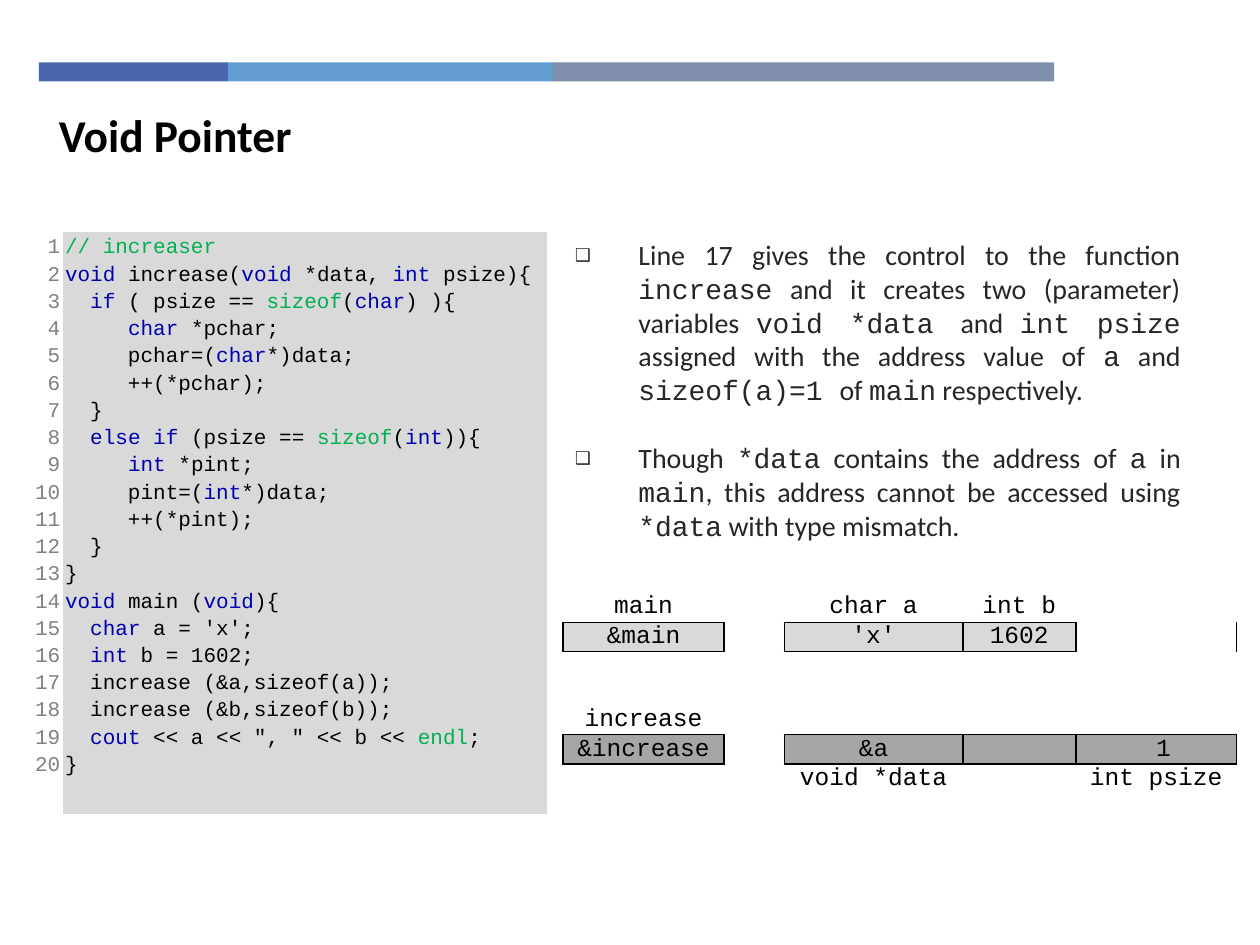
from copy import deepcopy

from pptx import Presentation
from pptx.dml.color import RGBColor
from pptx.enum import shapes, text
from pptx.oxml import parse_xml
from pptx.oxml.ns import nsdecls, qn
from pptx.util import Pt

BLACK = RGBColor(0, 0, 0)
INK = RGBColor(0x26, 0x26, 0x26)
NUMBER_GRAY = RGBColor(0x80, 0x80, 0x80)
KEYWORD_BLUE = RGBColor(0, 0, 0xB0)
BUILTIN_GREEN = RGBColor(0, 0xB0, 0x50)
LIGHT_GRAY = RGBColor(0xD9, 0xD9, 0xD9)
MID_GRAY = RGBColor(0xA6, 0xA6, 0xA6)
BAND_COLORS = (RGBColor(0x4A, 0x66, 0xAC), RGBColor(0x62, 0x9D, 0xD1), RGBColor(0x7F, 0x8F, 0xA9))

BODY_FONT, CODE_FONT = "Calibri", "Courier New"
NO_STYLE = "{2D5ABB26-0587-4C30-8999-92F81FD0307C}"
GREEN_WORDS = {"// increaser", "sizeof", "endl"}

CODE = """`// increaser`
`void` increase(`void` *data, `int `psize){
  `if` ( psize == `sizeof`(`char`) ){
     `char` *pchar;
     pchar=(`char`*)data;
     ++(*pchar);
  }
  `else if `(psize == `sizeof`(`int`)){
     `int` *pint;
     pint=(`int`*)data;
     ++(*pint);
  }
}
`void` main (`void`){
  `char` a = 'x';
  `int` b = 1602;
  increase (&a,sizeof(a));
  increase (&b,sizeof(b));
  `cout` << a << ", " << b << `endl`;
}""".split("\n")

POINTS = (
    "Line 17 gives the control to the function `increase` and it creates two (parameter) variables "
    "`void *data `and `int psize `assigned with the address value of `a` and "
    "`sizeof(a)=1 `of `main` respectively.",
    "Though `*data` contains the address of `a` in `main`, this address cannot be accessed using "
    "`*data` with type mismatch.",
)

MEMORY_WIDTHS = (92, 21, 13.5, 13, 40.5, 35, 13.5, 13.2, 18.9, 32.5, 92)
MEMORY_HEIGHTS = (17.2, 16, 19.4, 11.2, 16, 16, 16)
MEMORY = {
    (0, 0): "main", (0, 3): "char a", (0, 7): "int b",
    (1, 0): "&main", (1, 3): "'x'", (1, 7): "1602",
    (4, 0): "increase",
    (5, 0): "&increase", (5, 3): "&a", (5, 10): " 1",
    (6, 3): "void *data", (6, 10): "int psize",
}
BLOCK_SPANS = ((1, 2), (3, 6), (7, 9))
MEMORY_SPANS = {row: BLOCK_SPANS for row in (0, 1, 3, 5, 6)}
MEMORY_SPANS.update({2: ((4, 5), (8, 9)), 4: ((1, 2), (3, 4), (5, 6), (7, 8))})
MEMORY_FILLS = {1: (LIGHT_GRAY, (0, 3, 7)), 5: (MID_GRAY, (0, 3, 7, 10))}


def add_run(paragraph, content, font, size, color, bold=False):
    """Append one formatted run to a paragraph."""
    run = paragraph.add_run()
    run.text = content
    run.font.name, run.font.size, run.font.bold = font, Pt(size), bold
    run.font.color.rgb = color


def marked_parts(line):
    """Yield each part of a line and whether backticks enclose it."""
    for index, part in enumerate(line.split("`")):
        if part:
            yield part, index % 2 == 1


def paragraphs(frame, lines):
    """Yield a paragraph of the frame with each line."""
    for index, line in enumerate(lines):
        yield (frame.add_paragraph() if index else frame.paragraphs[0]), line


def add_plain_table(slide, left, top, widths, heights):
    """Add a table without style and with the given column and row sizes."""
    frame = slide.shapes.add_table(len(heights), len(widths), Pt(left), Pt(top),
                                   Pt(sum(widths)), Pt(sum(heights)))
    table = frame.table
    table.first_row = table.horz_banding = False
    table._tbl.tblPr[0].text = NO_STYLE
    for column, width in zip(table.columns, widths):
        column.width = Pt(width)
    for row, height in zip(table.rows, heights):
        row.height = Pt(height)
    return table


def set_margins(cell, left, top, right, bottom):
    """Set the four insets of a cell."""
    cell.margin_left, cell.margin_top = Pt(left), Pt(top)
    cell.margin_right, cell.margin_bottom = Pt(right), Pt(bottom)


def outline_cell(cell, sides=("lnL", "lnR", "lnT", "lnB")):
    """Draw a thin black border on the given sides of a cell."""
    properties = cell._tc.get_or_add_tcPr()
    for index, side in enumerate(sides):
        properties.insert(index, parse_xml(
            f'<a:{side} {nsdecls("a")} w="12700"><a:solidFill><a:srgbClr val="{BLACK}"/>'
            f'</a:solidFill></a:{side}>'))


def add_band(slide, left, top, height, widths):
    """Place the coloured header segments side by side."""
    for width, color in zip(widths, BAND_COLORS):
        segment = slide.shapes.add_shape(shapes.MSO_SHAPE.RECTANGLE, Pt(left), Pt(top),
                                         Pt(width), Pt(height))
        segment.shadow.inherit = False
        segment.fill.solid()
        segment.fill.fore_color.rgb = color
        segment.line.fill.background()
        left += width


def add_title(slide, left, top, width, height):
    """Place the slide heading."""
    heading = slide.shapes.add_textbox(Pt(left), Pt(top), Pt(width), Pt(height)).text_frame
    heading.word_wrap = True
    add_run(heading.paragraphs[0], "Void Pointer", BODY_FONT, 26, BLACK, True)


def add_points(slide, left, top, width, height):
    """Place the justified explanation with box bullets."""
    explanation = slide.shapes.add_textbox(Pt(left), Pt(top), Pt(width), Pt(height)).text_frame
    explanation.word_wrap = True
    for paragraph, point in paragraphs(explanation, POINTS):
        paragraph.alignment = text.PP_ALIGN.JUSTIFY
        paragraph.space_before = Pt(20)
        properties = paragraph._p.get_or_add_pPr()
        properties.set("marL", str(Pt(36)))
        properties.set("indent", str(-Pt(36)))
        for bullet in ('buSzPct {} val="90000"', f'buFont {{}} typeface="{CODE_FONT}"',
                       'buChar {} char="❑"'):
            properties.append(parse_xml(f'<a:{bullet.format(nsdecls("a"))}/>'))
        for part, is_code in marked_parts(point):
            add_run(paragraph, part, CODE_FONT if is_code else BODY_FONT, 16, INK)


def add_line_numbers(paragraph, count):
    """Fill a paragraph with the numbers from one, each on its own line."""
    paragraph.alignment = text.PP_ALIGN.RIGHT
    paragraph.line_spacing = 1.15
    for number in range(1, count + 1):
        if number > 1:
            paragraph.add_line_break()
        add_run(paragraph, str(number), CODE_FONT, 12, NUMBER_GRAY)
    number_format = paragraph.runs[0]._r.rPr
    for line_break in paragraph._p.findall(qn("a:br")):
        line_break.append(deepcopy(number_format))


def add_listing(slide, left, top, width, height):
    """Place the numbered and coloured program code."""
    gutter = 22.3
    table = add_plain_table(slide, left, top, (gutter, width - gutter), (height,))
    numbers, code = table.cell(0, 0), table.cell(0, 1)
    set_margins(numbers, 0.7, 0.7, 1.4, 0.7)
    set_margins(code, 1.4, 0.7, 0.7, 0.7)
    code.fill.solid()
    code.fill.fore_color.rgb = LIGHT_GRAY
    add_line_numbers(numbers.text_frame.paragraphs[0], len(CODE))
    for paragraph, line in paragraphs(code.text_frame, CODE):
        paragraph.line_spacing = 1.15
        for part, is_marked in marked_parts(line):
            marked_color = BUILTIN_GREEN if part in GREEN_WORDS else KEYWORD_BLUE
            add_run(paragraph, part, CODE_FONT, 12, marked_color if is_marked else BLACK)


def add_memory(slide, left, top):
    """Place the memory cells of both functions with their labels."""
    table = add_plain_table(slide, left, top, MEMORY_WIDTHS, MEMORY_HEIGHTS)
    for row, spans in MEMORY_SPANS.items():
        for first, last in spans:
            table.cell(row, first).merge(table.cell(row, last))
    for column in (0, 10):
        table.cell(2, column).merge(table.cell(3, column))
    for row in range(len(MEMORY_HEIGHTS)):
        color, filled = MEMORY_FILLS.get(row, (None, ()))
        for column in range(len(MEMORY_WIDTHS)):
            cell = table.cell(row, column)
            set_margins(cell, 5, 0, 5, 0)
            cell.vertical_anchor = text.MSO_ANCHOR.MIDDLE
            paragraph = cell.text_frame.paragraphs[0]
            paragraph.alignment = text.PP_ALIGN.CENTER
            if (row, column) in MEMORY:
                add_run(paragraph, MEMORY[row, column], CODE_FONT, 14, BLACK)
            else:
                paragraph._p.append(parse_xml(f'<a:endParaRPr {nsdecls("a")} sz="800"/>'))
            if column in filled:
                cell.fill.solid()
                cell.fill.fore_color.rgb = color
                outline_cell(cell)
    outline_cell(table.cell(1, 10), ("lnL",))


def main():
    """Build and save the slide."""
    deck = Presentation()
    deck.slide_width, deck.slide_height = Pt(720), Pt(540)
    slide = deck.slides.add_slide(deck.slide_layouts[6])
    add_band(slide, 22.3, 35.7, 10.8, (108, 185.8, 286.3))
    add_points(slide, 321.8, 132.5, 360, 187.2)
    add_listing(slide, 13.5, 132.5, 299, 332.6)
    add_title(slide, 26.6, 57.6, 515.5, 38.9)
    add_memory(slide, 321.8, 338.4)
    deck.save("out.pptx")


if __name__ == "__main__":
    main()
